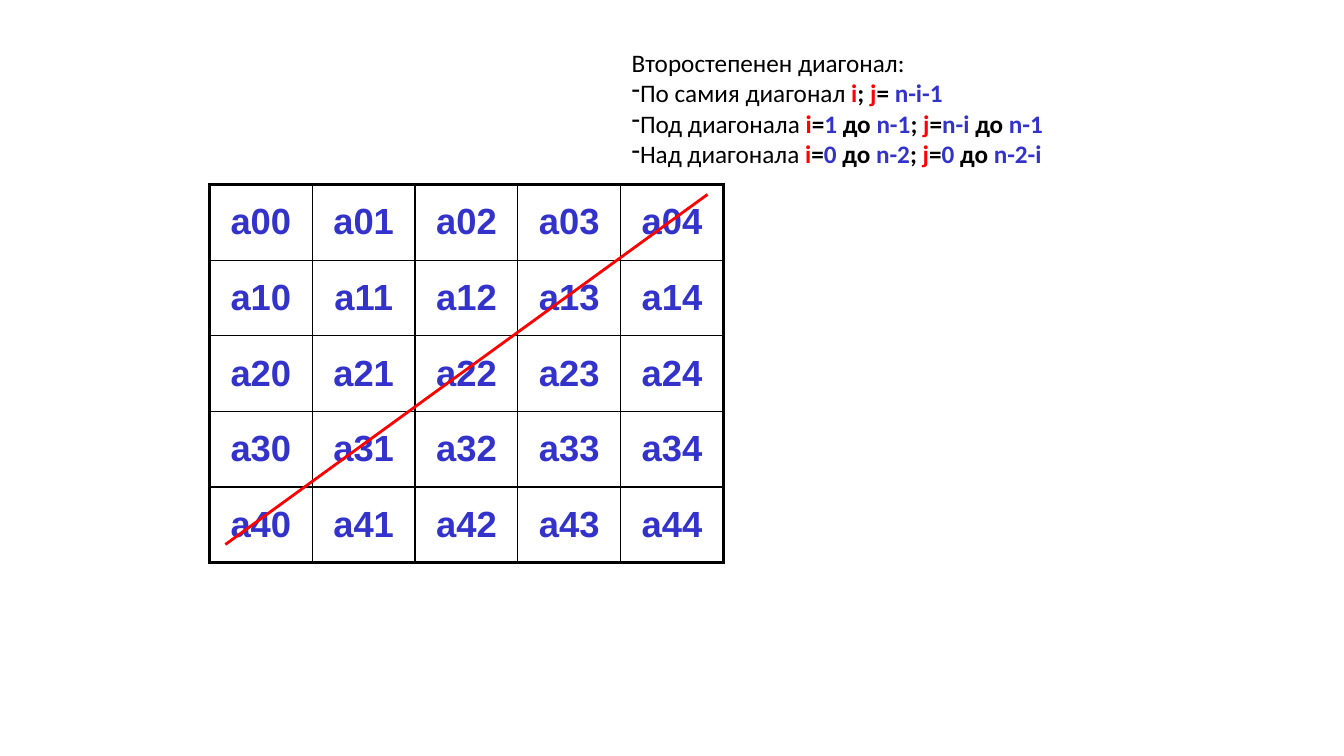
from lxml.etree import SubElement
from pptx import Presentation
from pptx.dml.color import RGBColor
from pptx.enum.shapes import MSO_CONNECTOR
from pptx.enum.text import MSO_ANCHOR, MSO_AUTO_SIZE, PP_ALIGN
from pptx.oxml.ns import qn
from pptx.util import Cm, Pt

BLACK, RED, BLUE = "000000", "FF0000", "3333CC"
ORDER = 5
INDEX_FORMAT = {"name": "Arial", "size": Pt(26), "bold": True}
RULE_FORMAT = {"name": "Calibri", "size": Pt(18)}
RULES = [
    ("По самия диагонал ",
     [("i", RED), ("; ", BLACK), ("j", RED), ("= ", BLACK), ("n-i-1", BLUE)]),
    ("Под диагонала ",
     [("i", RED), ("=", BLACK), ("1", BLUE), (" до ", BLACK), ("n-1", BLUE), ("; ", BLACK),
      ("j", RED), ("=", BLACK), ("n-i ", BLUE), ("до ", BLACK), ("n-1", BLUE)]),
    ("Над диагонала ",
     [("i", RED), ("=", BLACK), ("0", BLUE), (" до ", BLACK), ("n-2", BLUE), ("; ", BLACK),
      ("j", RED), ("=", BLACK), ("0 ", BLUE), ("до ", BLACK), ("n-2-i", BLUE)]),
]


def paint(target, colour):
    """Give a colour format its hex colour."""
    target.rgb = RGBColor.from_string(colour)


def style(font, formats, colour):
    """Set the font attributes and the font colour."""
    for attribute, value in formats.items():
        setattr(font, attribute, value)
    paint(font.color, colour)


def add_borders(cell, row, column):
    """Draw thick borders on the outer edges of the matrix and thin ones inside."""
    properties = cell._tc.get_or_add_tcPr()
    outer_edges = {"L": column == 0, "R": column == ORDER - 1,
                   "T": row == 0, "B": row == ORDER - 1}
    for side, is_outer in outer_edges.items():
        border = SubElement(properties, qn(f"a:ln{side}"), w=str(Pt(2.25 if is_outer else 1)))
        fill = SubElement(border, qn("a:solidFill"))
        SubElement(fill, qn("a:srgbClr"), val=BLACK)


def add_matrix(slide, left, top, width, height):
    """Place the matrix of indexed elements in the given box."""
    matrix = slide.shapes.add_table(ORDER, ORDER, left, top, width, height).table
    matrix.first_row = matrix.horz_banding = False
    for row in range(ORDER):
        for column in range(ORDER):
            cell = matrix.cell(row, column)
            add_borders(cell, row, column)
            cell.fill.background()
            cell.vertical_anchor = MSO_ANCHOR.MIDDLE
            element = cell.text_frame.paragraphs[0]
            element.alignment = PP_ALIGN.CENTER
            index = element.add_run()
            index.text = f"а{row}{column}"
            style(index.font, INDEX_FORMAT, BLUE)


def add_diagonal(slide, left, top, width, height):
    """Strike the secondary diagonal through the given matrix box."""
    diagonal = slide.shapes.add_connector(
        MSO_CONNECTOR.STRAIGHT, left + width - Cm(0.4), top + Cm(0.25),
        left + Cm(0.4), top + height - Cm(0.46))
    paint(diagonal.line.color, RED)
    diagonal.line.width = Pt(2)
    SubElement(diagonal._element.spPr, qn("a:effectLst"))


def add_rules(slide, left, top, width, height):
    """Write the heading and the index rules in the given box."""
    frame = slide.shapes.add_textbox(left, top, width, height).text_frame
    frame.word_wrap = False
    frame.auto_size = MSO_AUTO_SIZE.SHAPE_TO_FIT_TEXT
    heading = frame.paragraphs[0].add_run()
    heading.text = "Второстепенен диагонал:"
    style(heading.font, RULE_FORMAT, BLACK)
    for region, formula in RULES:
        rule = frame.add_paragraph()
        properties = rule._p.get_or_add_pPr()
        properties.set("marL", "0")
        properties.set("indent", "0")
        SubElement(properties, qn("a:buFontTx"))
        SubElement(properties, qn("a:buChar"), char="-")
        for position, (text, colour) in enumerate([(region, BLACK), *formula]):
            part = rule.add_run()
            part.text = text
            style(part.font, {**RULE_FORMAT, "bold": position > 0}, colour)


def main():
    """Build the slide and save it."""
    presentation = Presentation()
    presentation.slide_width, presentation.slide_height = Cm(33.87), Cm(19.05)
    slide = presentation.slides.add_slide(presentation.slide_layouts[6])
    matrix_box = Cm(5.28), Cm(4.65), Cm(12.95), Cm(9.53)
    add_matrix(slide, *matrix_box)
    add_diagonal(slide, *matrix_box)
    add_rules(slide, Cm(15.67), Cm(1.07), Cm(10.97), Cm(3.33))
    presentation.save("out.pptx")


if __name__ == "__main__":
    main()
